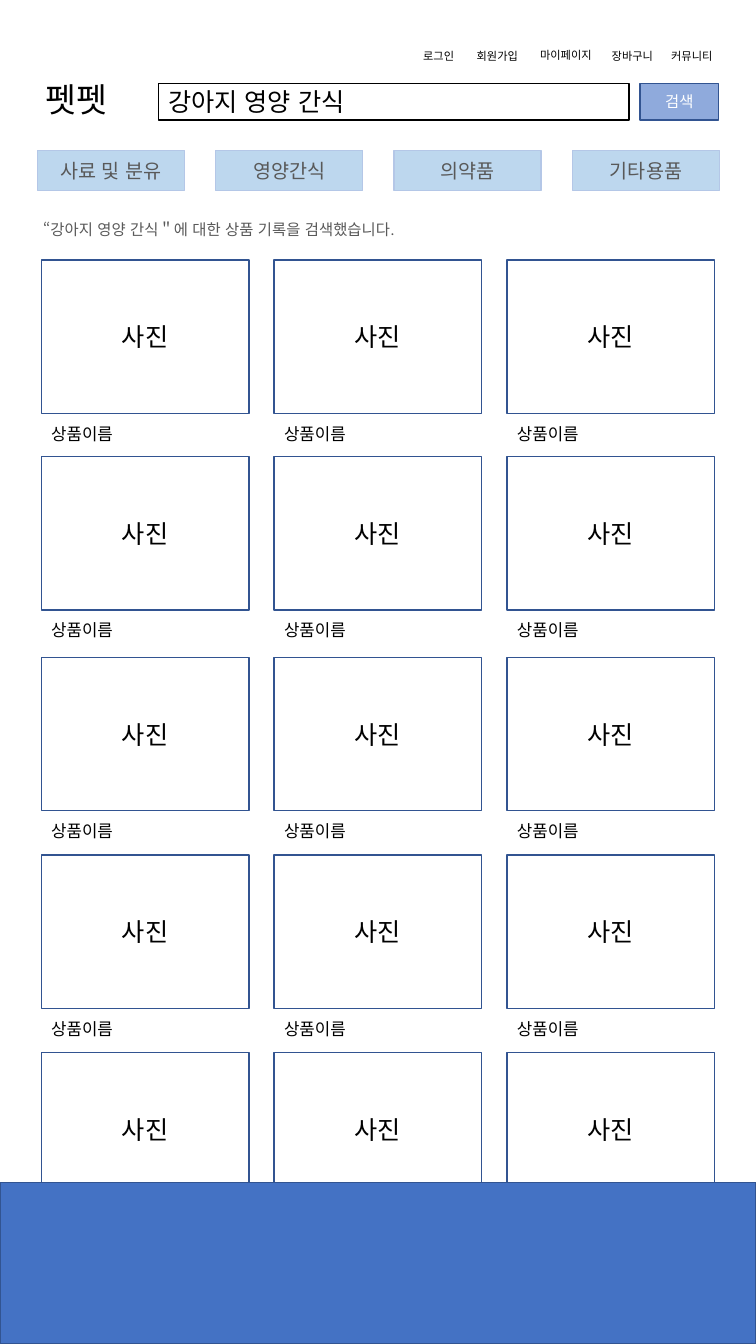
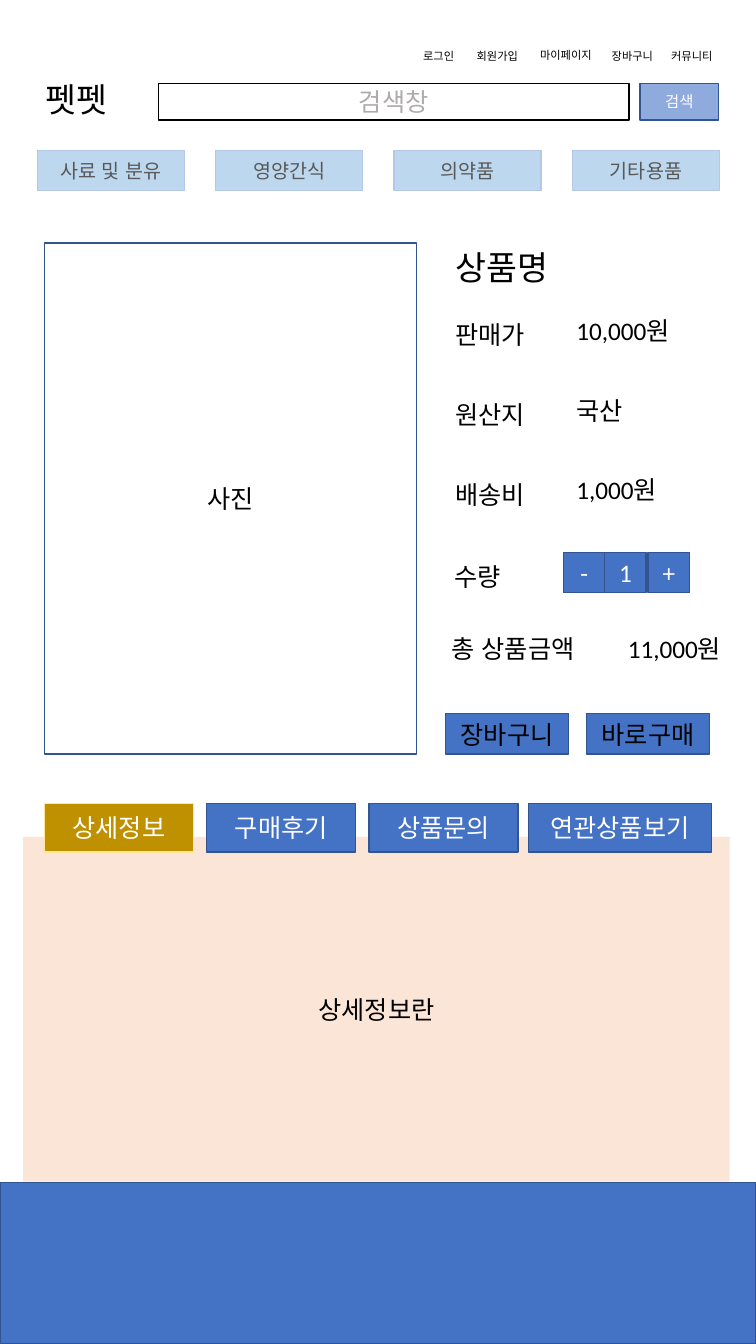
from dataclasses import dataclass

from pptx import Presentation
from pptx.dml.color import RGBColor
from pptx.enum.lang import MSO_LANGUAGE_ID
from pptx.enum.shapes import MSO_SHAPE
from pptx.enum.text import MSO_ANCHOR, MSO_AUTO_SIZE, PP_ALIGN
from pptx.util import Pt

EMU_PER_PX = 9144
PAGE_WIDTH, PAGE_HEIGHT = 750, 1333
TITLE_ONLY_LAYOUT = 5


@dataclass(frozen=True)
class Theme:
    text_font: str = "Calibri"
    title_font: str = "Noto Sans CJK KR"
    black: str = "000000"
    white: str = "FFFFFF"
    gray: str = "595959"
    hint: str = "AFABAB"
    blue: str = "4472C4"
    outline: str = "325491"
    search_blue: str = "8FAADC"
    category_fill: str = "BDD7EE"
    category_line: str = "B4C7E7"
    active_fill: str = "BF9000"
    active_line: str = "FFE699"
    panel: str = "FBE5D6"
    title_size: int = 24
    body_size: int = 18
    category_size: int = 14
    name_size: int = 12
    small_size: int = 11
    menu_size: int = 8
    line_width: int = 1


def px(length):
    return length * EMU_PER_PX


class ShopPage:
    def __init__(self, presentation, theme):
        self.theme = theme
        layout = presentation.slide_layouts[TITLE_ONLY_LAYOUT]
        self.slide = presentation.slides.add_slide(layout)

    def set_text(self, shape, text, size, color, align, anchor, font=None):
        frame = shape.text_frame
        frame.word_wrap = True
        frame.vertical_anchor = anchor
        frame.text = text
        paragraph = frame.paragraphs[0]
        paragraph.alignment = align
        paragraph.font.name = font or self.theme.text_font
        paragraph.font.size = Pt(size)
        paragraph.font.color.rgb = RGBColor.from_string(color)
        paragraph.font.language_id = MSO_LANGUAGE_ID.KOREAN

    def title(self, text, left, top, width, height):
        shape = self.slide.shapes.title
        shape.left, shape.top = px(left), px(top)
        shape.width, shape.height = px(width), px(height)
        self.set_text(shape, text, self.theme.title_size, self.theme.black,
                      PP_ALIGN.LEFT, MSO_ANCHOR.TOP, self.theme.title_font)
        shape.text_frame.auto_size = MSO_AUTO_SIZE.NONE

    def label(self, text, left, top, width, height, size=None, color=None):
        shape = self.slide.shapes.add_textbox(px(left), px(top), px(width), px(height))
        self.set_text(shape, text, size or self.theme.body_size,
                      color or self.theme.black, PP_ALIGN.LEFT, MSO_ANCHOR.TOP)
        shape.text_frame.auto_size = MSO_AUTO_SIZE.SHAPE_TO_FIT_TEXT

    def box(self, text, left, top, width, height, fill=None, line=None,
            size=None, color=None, align=PP_ALIGN.CENTER):
        shape = self.slide.shapes.add_shape(
            MSO_SHAPE.RECTANGLE, px(left), px(top), px(width), px(height))
        shape.shadow.inherit = False
        if fill:
            shape.fill.solid()
            shape.fill.fore_color.rgb = RGBColor.from_string(fill)
        else:
            shape.fill.background()
        if line:
            shape.line.color.rgb = RGBColor.from_string(line)
            shape.line.width = Pt(self.theme.line_width)
        else:
            shape.line.fill.background()
        if text:
            self.set_text(shape, text, size or self.theme.body_size,
                          color or self.theme.black, align, MSO_ANCHOR.MIDDLE)

    def photo(self, left, top, width, height):
        self.box("사진", left, top, width, height, line=self.theme.outline)

    def button(self, text, left, top, width, height, color=None):
        self.box(text, left, top, width, height, self.theme.blue,
                 self.theme.outline, color=color or self.theme.white)

    def header(self, query, query_color, query_align):
        theme = self.theme
        self.title("펫펫", 35, 73, 120, 50)
        menu = (("로그인", 410, 44, 56), ("회원가입", 463, 44, 69),
                ("마이페이지", 526, 43, 76), ("장바구니", 597, 44, 69),
                ("커뮤니티", 656, 44, 69))
        for text, left, top, width in menu:
            self.label(text, left, top, width, 24, theme.menu_size)
        self.box(query, 157, 83, 467, 36, line=theme.black,
                 color=query_color, align=query_align)
        self.box("검색", 635, 83, 78, 36, theme.search_blue, theme.outline,
                 theme.small_size, theme.white)
        categories = ("사료 및 분유", "영양간식", "의약품", "기타용품")
        for column, text in enumerate(categories):
            self.box(text, 37 + 177 * column, 149, 146, 40, theme.category_fill,
                     theme.category_line, theme.category_size, theme.gray)

    def footer(self):
        self.box("", 0, 1173, PAGE_WIDTH, 160, self.theme.blue, self.theme.outline)


def build_search_results(presentation, theme):
    page = ShopPage(presentation, theme)
    page.header("강아지 영양 간식", theme.black, PP_ALIGN.LEFT)
    page.label("“강아지 영양 간식＂에 대한 상품 기록을 검색했습니다.",
               33, 213, 617, 29, theme.small_size, theme.gray)
    row_tops = (258, 453, 652, 848, 1044)
    for top in row_tops:
        for column in range(3):
            left = 41 + 231 * column
            page.photo(left, top, 206, 152)
            if top != row_tops[-1]:
                page.label("상품이름", left, top + 157, 90, 30, theme.name_size)
    page.footer()


def build_product_detail(presentation, theme):
    page = ShopPage(presentation, theme)
    page.header("검색창", theme.hint, PP_ALIGN.CENTER)
    page.photo(44, 241, 369, 507)
    page.label("상품명", 442, 240, 172, 50, theme.title_size)
    facts = (("판매가", "10,000원"), ("원산지", "국산"), ("배송비", "1,000원"))
    for row, (name, value) in enumerate(facts):
        top = 312 + 79 * row
        page.label(name, 442, top, 123, 40)
        page.label(value, 562, top - 4, 123, 40)
    page.label("수량", 441, 552, 123, 40)
    for text, left in (("-", 559), ("1", 600), ("+", 643)):
        page.button(text, left, 548, 41, 40)
    page.label("총 상품금액", 438, 623, 158, 40)
    page.label("11,000원", 613, 623, 123, 40)
    for text, left in (("장바구니", 442), ("바로구매", 582)):
        page.button(text, left, 708, 122, 40, theme.black)
    page.box("상세정보란", 23, 830, 701, 342, theme.panel)
    page.box("상세정보", 44, 797, 148, 48, theme.active_fill,
             theme.active_line, color=theme.white)
    tabs = (("구매후기", 205, 148), ("상품문의", 366, 148), ("연관상품보기", 524, 182))
    for text, left, width in tabs:
        page.button(text, left, 797, width, 48)
    page.footer()


def main():
    presentation = Presentation()
    presentation.slide_width = px(PAGE_WIDTH)
    presentation.slide_height = px(PAGE_HEIGHT)
    theme = Theme()
    build_search_results(presentation, theme)
    build_product_detail(presentation, theme)
    presentation.save("out.pptx")


if __name__ == "__main__":
    main()
